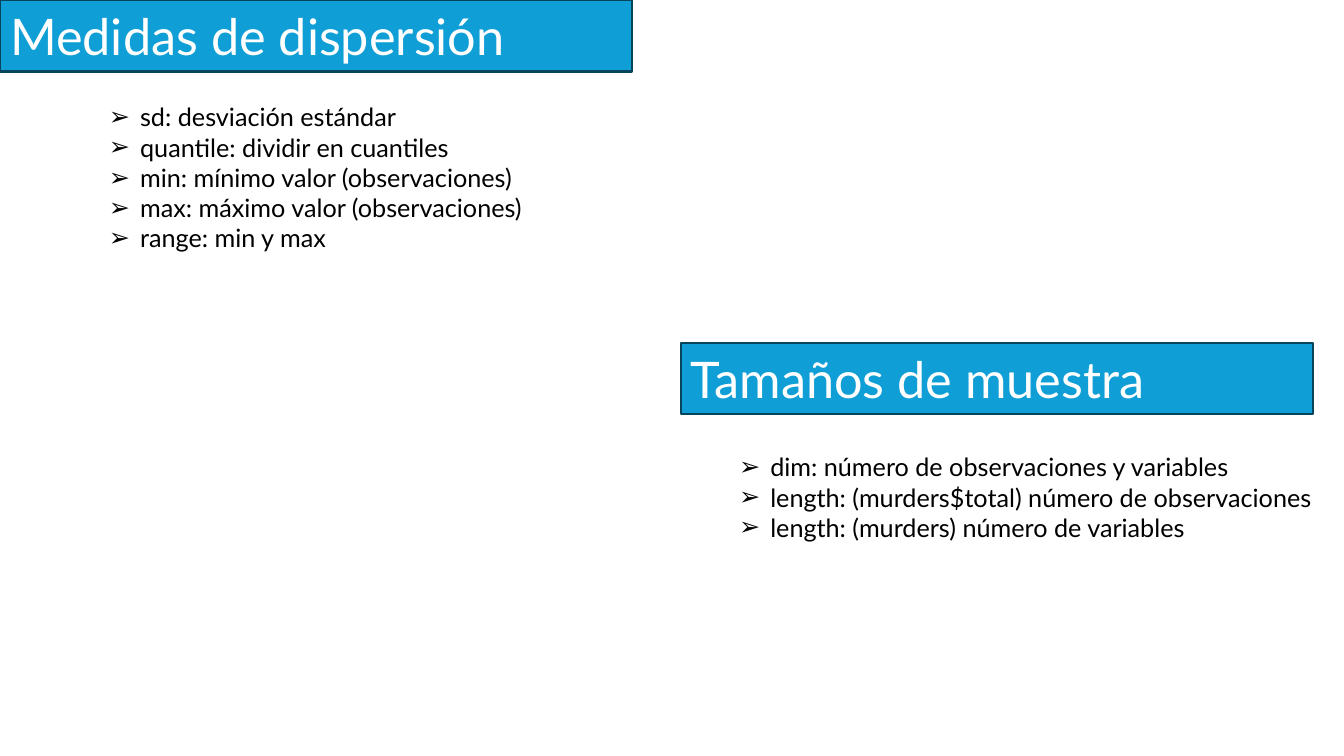
from lxml import etree
from pptx import Presentation
from pptx.dml.color import RGBColor
from pptx.enum.text import MSO_ANCHOR, MSO_AUTO_SIZE, PP_ALIGN
from pptx.oxml.ns import qn
from pptx.util import Inches, Pt

LEFT, TOP, MID = PP_ALIGN.LEFT, MSO_ANCHOR.TOP, MSO_ANCHOR.MIDDLE
FIXED = MSO_AUTO_SIZE.NONE

# Content: head slot, list slot, head place, list place, title, lines
PARTS = [
    (0, 2, (0, 0, 6.27, 0.71), (0.98, 0.96, 8.9, 1.92),
     "Medidas de dispersión",
     ["sd: desviación estándar",
      "quantile: dividir en cuantiles",
      "min: mínimo valor (observaciones)",
      "max: máximo valor (observaciones)",
      "range: min y max"]),
    (3, 4, (6.75, 3.4, 6.27, 0.71), (7.23, 4.43, 8.9, 1.62),
     "Tamaños de muestra",
     ["dim: número de observaciones y variables",
      "length: (murders$total) número de observaciones",
      "length: (murders) número de variables"]),
]
SPARE = 1
BLUE, EDGE, WHITE, BLACK = "0F9ED5", "07455D", "FFFFFF", "000000"
HEAD = {"name": "Lato", "size": Pt(36), "bold": False}
BODY = {"name": "Lato", "size": Pt(18), "bold": False}
PARA = {"alignment": LEFT, "space_before": Pt(0), "space_after": Pt(0),
        "line_spacing": 1.0}
INDENT = Inches(0.31)


def color(code):
    return RGBColor.from_string(code)


def apply(item, form):
    for key, value in form.items():
        setattr(item, key, value)


def fill_text(shape, place, lines, form, tint, anchor):
    """Place a slot and write its formatted lines."""
    apply(shape, dict(zip(("left", "top", "width", "height"),
                          map(Inches, place))))
    frame = shape.text_frame
    frame.text = "\n".join(lines)
    apply(frame, {"word_wrap": True, "auto_size": FIXED,
                  "vertical_anchor": anchor})
    for para in frame.paragraphs:
        apply(para, PARA)
        for run in para.runs:
            apply(run.font, form)
            run.font.color.rgb = color(tint)
    return frame


def add_mark(para):
    """Give a list line its arrow bullet and hanging indent."""
    props = para._p.get_or_add_pPr()
    props.set("marL", str(INDENT))
    props.set("indent", str(-INDENT))
    etree.SubElement(props, qn("a:buChar"), char="➢")


def main():
    deck = Presentation()
    deck.slide_width, deck.slide_height = Inches(13.33), Inches(7.5)
    slide = deck.slides.add_slide(deck.slide_layouts.get_by_name("Comparison"))
    slots = {s.placeholder_format.idx: s for s in slide.placeholders}

    for head, body, bar, area, title, lines in PARTS:
        # Heading bar
        shape = slots[head]
        fill_text(shape, bar, [title], HEAD, WHITE, MID)
        shape.fill.solid()
        shape.fill.fore_color.rgb = color(BLUE)
        shape.line.color.rgb = color(EDGE)
        shape.line.width = Pt(1.5)

        # Bullet list
        frame = fill_text(slots[body], area, lines, BODY, BLACK, TOP)
        for para in frame.paragraphs:
            add_mark(para)

    # Unused slot
    spare = slots[SPARE].element
    spare.getparent().remove(spare)
    deck.save("out.pptx")


if __name__ == "__main__":
    main()
